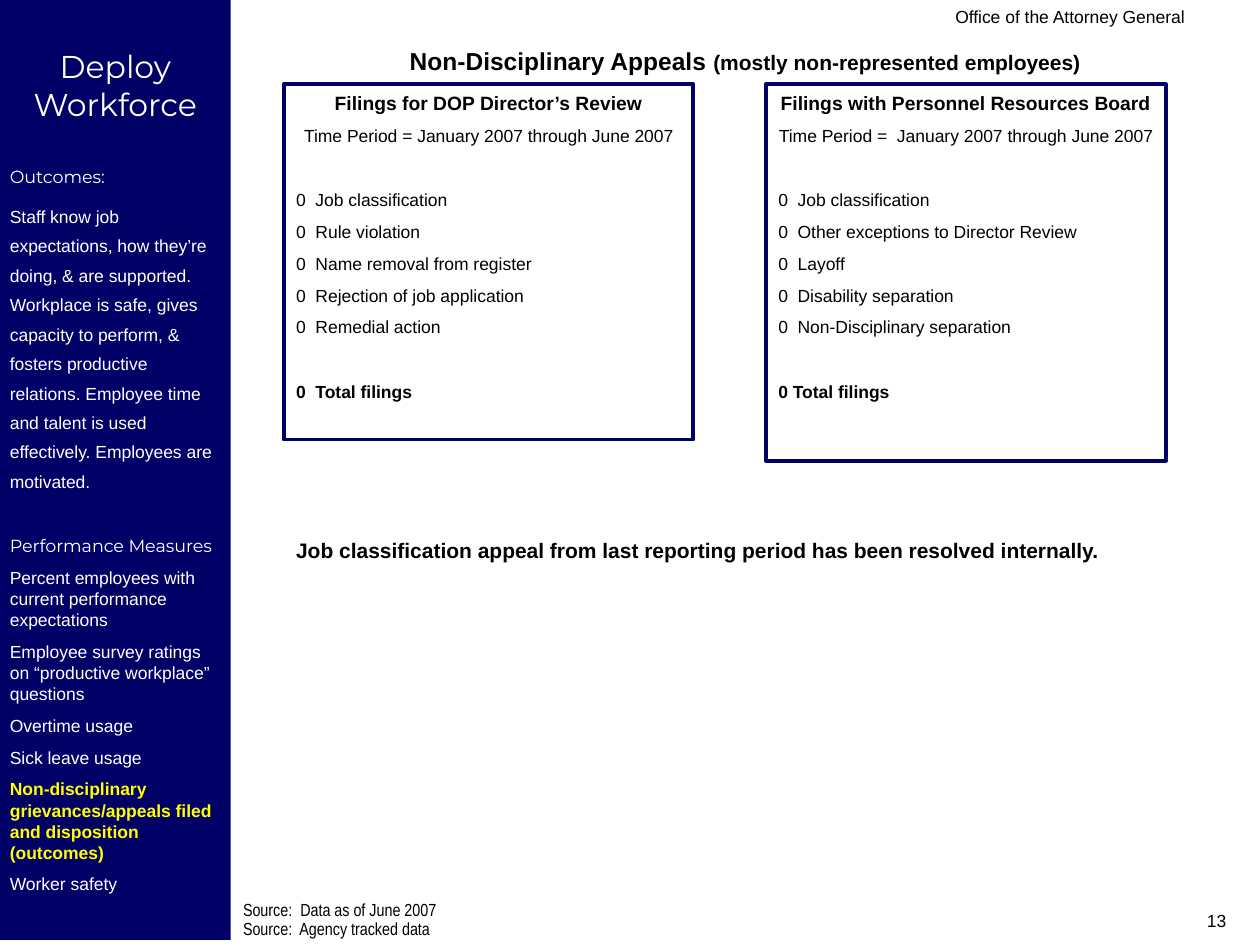
"""Build the Deploy Workforce slide on non-disciplinary appeals."""
from lxml import etree
from pptx import Presentation
from pptx import util as u
from pptx.dml.color import RGBColor
from pptx.enum import shapes, text
from pptx.oxml import ns

NAVY, WHITE, BLACK, YELLOW = "000066", "FFFFFF", "000000", "FFFF00"
LEFT, CENTER, RIGHT = text.PP_ALIGN.LEFT, text.PP_ALIGN.CENTER, text.PP_ALIGN.RIGHT
GAP, SECTION = 6.2, 24.6


def rgb(value):
    return RGBColor.from_string(value)


def write(tf, words, size=10, font="Arial", color=BLACK, bold=False, align=LEFT,
          before=0, spacing=1.0, hang=0, new=True):
    p = tf.paragraphs[-1]
    if new:
        if p.runs:
            p = tf.add_paragraph()
        pPr = p._p.get_or_add_pPr()
        pPr.set("marL", str(u.Cm(hang)))
        pPr.set("indent", str(-u.Cm(hang)))
        etree.SubElement(pPr, ns.qn("a:buNone"))
        p.alignment = align
        p.space_before = u.Pt(before)
        p.line_spacing = spacing
    r = p.add_run()
    r.text = words
    r.font.size, r.font.name, r.font.bold = u.Pt(size), font, bold
    r.font.color.rgb = rgb(color)


class Deck:
    def __init__(self):
        self.prs = Presentation()
        self.prs.slide_width, self.prs.slide_height = u.Cm(25.4), u.Cm(19.05)
        self.s = self.prs.slides.add_slide(self.prs.slide_layouts[3])

    def frame(self, sp, inset=(0.25, 0.13)):
        tf = sp.text_frame
        tf.word_wrap = True
        tf.auto_size = text.MSO_AUTO_SIZE.NONE
        tf.vertical_anchor = text.MSO_ANCHOR.TOP
        tf.margin_left = tf.margin_right = u.Cm(inset[0])
        tf.margin_top = tf.margin_bottom = u.Cm(inset[1])
        return tf

    def placeholder(self, idx, box, line=None):
        sp = self.s.placeholders[idx]
        sp.left, sp.top, sp.width, sp.height = map(u.Cm, box)
        if line:
            sp.line.color.rgb = rgb(line)
            sp.line.width = u.Pt(2.25)
        return self.frame(sp)

    def label(self, box):
        return self.frame(self.s.shapes.add_textbox(*map(u.Cm, box)))

    def panel(self, box, fill, inset):
        sp = self.s.shapes.add_shape(shapes.MSO_SHAPE.RECTANGLE, *map(u.Cm, box))
        sp.shadow.inherit = False
        sp.fill.solid()
        sp.fill.fore_color.rgb = rgb(fill)
        sp.line.fill.background()
        return self.frame(sp, inset)

    def filings(self, idx, box, heading, period, kinds, total):
        tf = self.placeholder(idx, box, NAVY)
        write(tf, heading, size=11, bold=True, align=CENTER)
        write(tf, period, align=CENTER, before=GAP)
        for i, kind in enumerate(kinds):
            write(tf, f"0\t{kind}", before=GAP if i else SECTION, hang=0.39)
        write(tf, total, bold=True, before=SECTION, hang=0.39)


def main():
    deck = Deck()

    tf = deck.placeholder(0, (4.65, 0.79, 20.75, 0.86))
    write(tf, "Non-Disciplinary Appeals ", size=14, bold=True, align=CENTER)
    write(tf, "(mostly non-represented employees)", size=12, bold=True, new=False)

    write(deck.label((11.43, 0, 12.7, 0.64)), "Office of the Attorney General", align=RIGHT)
    write(deck.label((19.05, 18.21, 5.92, 0.84)), "13", align=RIGHT)

    tf = deck.label((4.65, 18.11, 5.28, 0.94))
    write(tf, "Source:  Data as of June 2007", font="Arial Narrow", spacing=0.7)
    write(tf, "Source:  Agency tracked data", font="Arial Narrow", spacing=0.7, before=2.5)

    tf = deck.panel((0, 0, 4.65, 18.95), NAVY, (0.2, 0.95))
    write(tf, "Deploy Workforce", size=18, font="Montserrat", color=WHITE, align=CENTER)
    write(tf, "Outcomes:", font="Montserrat", color=WHITE, before=SECTION)
    write(tf, "Staff know job expectations, how they’re doing, & are supported. "
              "Workplace is safe, gives capacity to perform, & fosters productive relations. "
              "Employee time and talent is used effectively. Employees are motivated.",
          color=WHITE, before=GAP, spacing=1.4)
    write(tf, "Performance Measures", font="Montserrat", color=WHITE, before=SECTION)
    current = "Non-disciplinary grievances/appeals filed and disposition (outcomes)"
    for measure in ("Percent employees with current performance expectations",
                    "Employee survey ratings on “productive workplace” questions",
                    "Overtime usage", "Sick leave usage", current, "Worker safety"):
        active = measure == current
        write(tf, measure, color=YELLOW if active else WHITE, bold=active, before=GAP)

    deck.filings(1, (5.72, 1.7, 8.26, 7.16), "Filings for DOP Director’s Review",
                 "Time Period = January 2007 through June 2007",
                 ("Job classification", "Rule violation", "Name removal from register",
                  "Rejection of job application", "Remedial action"),
                 "0\tTotal filings")
    deck.filings(2, (15.44, 1.7, 8.06, 7.59), "Filings with Personnel Resources Board",
                 "Time Period =  January 2007 through June 2007",
                 ("Job classification", "Other exceptions to Director Review", "Layoff",
                  "Disability separation", "Non-Disciplinary separation"),
                 "0 Total filings")

    write(deck.label((5.72, 10.8, 17.35, 0.66)),
          "Job classification appeal from last reporting period has been resolved internally.",
          size=12, bold=True, spacing=0.8)

    deck.prs.save("out.pptx")


if __name__ == "__main__":
    main()
